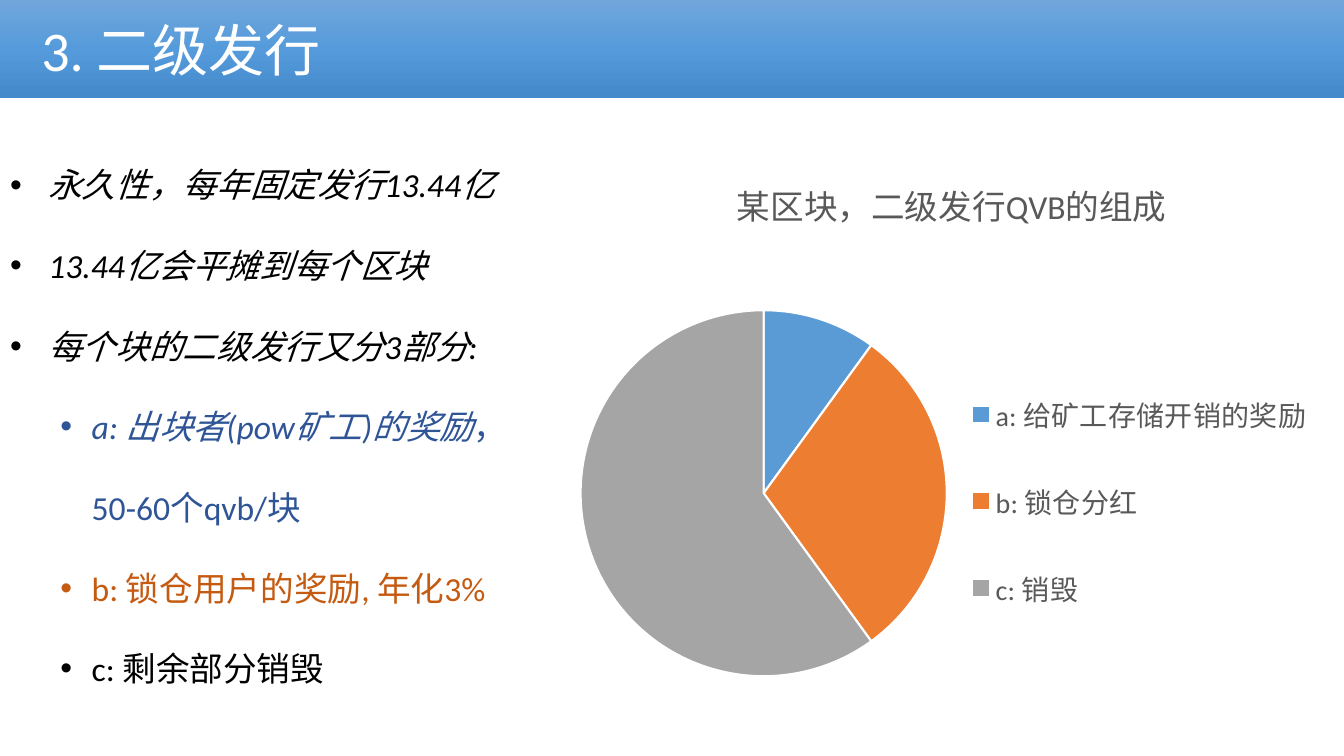
import copy

import lxml.etree
import pptx
import pptx.chart.data
import pptx.dml.color
import pptx.enum.chart
import pptx.enum.text
import pptx.oxml.ns
import pptx.util

RGBColor = pptx.dml.color.RGBColor
qn = pptx.oxml.ns.qn

WHITE = RGBColor(0xFF, 0xFF, 0xFF)
BLACK = RGBColor(0x00, 0x00, 0x00)
GRAY = RGBColor(0x59, 0x59, 0x59)
NAVY = RGBColor(0x2F, 0x55, 0x97)
RUST = RGBColor(0xC5, 0x5A, 0x11)
BANNER = [RGBColor(0x71, 0xA6, 0xDB), RGBColor(0x55, 0x9B, 0xDB), RGBColor(0x44, 0x8A, 0xCA)]
SLICES = [RGBColor(0x5B, 0x9B, 0xD5), RGBColor(0xED, 0x7D, 0x31), RGBColor(0xA5, 0xA5, 0xA5)]

FONT = "Calibri"
PX = 9144
PAGE = (1333, 750)
TITLE_BOX = (0, 0, 1333, 97)
BODY_BOX = (0, 118, 525, 575)
CHART_BOX = (520, 153, 848, 534)
INDENTS = [(38, -38), (81, -31)]

TITLE = "3. 二级发行"
POINTS = [
    (0, BLACK, [("永久性，每年固定发行13.44亿", True)]),
    (0, BLACK, [("13.44亿会平摊到每个区块", True)]),
    (0, BLACK, [("每个块的二级发行又分3部分:", True)]),
    (1, NAVY, [("a: 出块者(pow矿工)的奖励", True), ("，50-60个qvb/块", False)]),
    (1, RUST, [("b: 锁仓用户的奖励, 年化3%", False)]),
    (1, BLACK, [("c: 剩余部分销毁", False)]),
]
CHART_TITLE = "某区块，二级发行QVB的组成"
SHARES = {"a: 给矿工存储开销的奖励": 10, "b: 锁仓分红": 30, "c: 销毁": 60}
PLOT_LAYOUT = {"x": 0.06, "y": 0.29, "w": 0.44, "h": 0.68}
LEGEND_LAYOUT = {"x": 0.51, "y": 0.36, "w": 0.42, "h": 0.57}


def px(length):
    return pptx.util.Emu(length * PX)


def place(box, bounds):
    box.left, box.top, box.width, box.height = map(px, bounds)


def style(font, size, color, italic=False):
    font.name = FONT
    font.size = pptx.util.Pt(size)
    font.color.rgb = color
    font.bold = False
    font.italic = italic


def add_span(para, text, size, color, italic=False):
    span = para.add_run()
    span.text = text
    style(span.font, size, color, italic)


def set_indent(para, left, hanging, bullet=None):
    props = para._p.get_or_add_pPr()
    props.set("marL", str(px(left)))
    props.set("indent", str(px(hanging)))
    if bullet:
        lxml.etree.SubElement(props, qn("a:buFont")).set("typeface", "Arial")
        lxml.etree.SubElement(props, qn("a:buChar")).set("char", bullet)


def set_layout(parent, index, fractions, inner=False):
    for old in parent.findall(qn("c:layout")):
        parent.remove(old)
    layout = lxml.etree.Element(qn("c:layout"))
    manual = lxml.etree.SubElement(layout, qn("c:manualLayout"))
    values = {"xMode": "edge", "yMode": "edge", **fractions}
    if inner:
        values = {"layoutTarget": "inner", **values}
    for name, value in values.items():
        lxml.etree.SubElement(manual, qn(f"c:{name}")).set("val", str(value))
    parent.insert(index, layout)


def fill_banner(box):
    box.fill.gradient()
    stops = box.fill._xPr.find(qn("a:gradFill")).find(qn("a:gsLst"))
    stops.insert(1, copy.deepcopy(stops[0]))
    for stop, position, color in zip(box.fill.gradient_stops, (0, 0.5, 1), BANNER):
        stop.position = position
        stop.color.rgb = color
    box.fill.gradient_angle = 270


def build_title(page):
    box = page.shapes.title
    place(box, TITLE_BOX)
    fill_banner(box)
    frame = box.text_frame
    frame.auto_size = pptx.enum.text.MSO_AUTO_SIZE.NONE
    frame.vertical_anchor = pptx.enum.text.MSO_ANCHOR.MIDDLE
    para = frame.paragraphs[0]
    para.alignment = pptx.enum.text.PP_ALIGN.LEFT
    set_indent(para, 31, 0)
    add_span(para, TITLE, 40, WHITE)


def build_body(page):
    box = page.placeholders[1]
    place(box, BODY_BOX)
    frame = box.text_frame
    frame.word_wrap = True
    frame.auto_size = pptx.enum.text.MSO_AUTO_SIZE.NONE
    frame.vertical_anchor = pptx.enum.text.MSO_ANCHOR.TOP
    for number, (level, color, spans) in enumerate(POINTS):
        para = frame.add_paragraph() if number else frame.paragraphs[0]
        para.level = level
        para.line_spacing = 2.0
        para.space_before = pptx.util.Pt(0)
        set_indent(para, *INDENTS[level], "•")
        for text, italic in spans:
            add_span(para, text, 24, color, italic)


def build_chart(page):
    data = pptx.chart.data.CategoryChartData()
    data.categories = list(SHARES)
    data.add_series("Series 1", list(SHARES.values()))
    kind = pptx.enum.chart.XL_CHART_TYPE.PIE
    chart = page.shapes.add_chart(kind, *map(px, CHART_BOX), data).chart
    style(chart.font, 10, BLACK)

    chart.has_title = True
    add_span(chart.chart_title.text_frame.paragraphs[0], CHART_TITLE, 24, GRAY)
    chart.chart_title.include_in_layout = False

    chart.has_legend = True
    chart.legend.position = pptx.enum.chart.XL_LEGEND_POSITION.RIGHT
    chart.legend.include_in_layout = False
    style(chart.legend.font, 20, GRAY)
    set_layout(chart.legend._element, 1, LEGEND_LAYOUT)

    plot = chart.plots[0]
    plot.vary_by_categories = True
    set_layout(plot._element.getparent(), 0, PLOT_LAYOUT, inner=True)
    for number, color in enumerate(SLICES):
        slice_format = plot.series[0].points[number].format
        slice_format.fill.solid()
        slice_format.fill.fore_color.rgb = color
        slice_format.line.color.rgb = WHITE
        slice_format.line.width = pptx.util.Pt(1.5)


def main():
    deck = pptx.Presentation()
    deck.slide_width, deck.slide_height = map(px, PAGE)
    page = deck.slides.add_slide(deck.slide_layouts[1])
    build_title(page)
    build_body(page)
    build_chart(page)
    deck.save("out.pptx")


if __name__ == "__main__":
    main()
